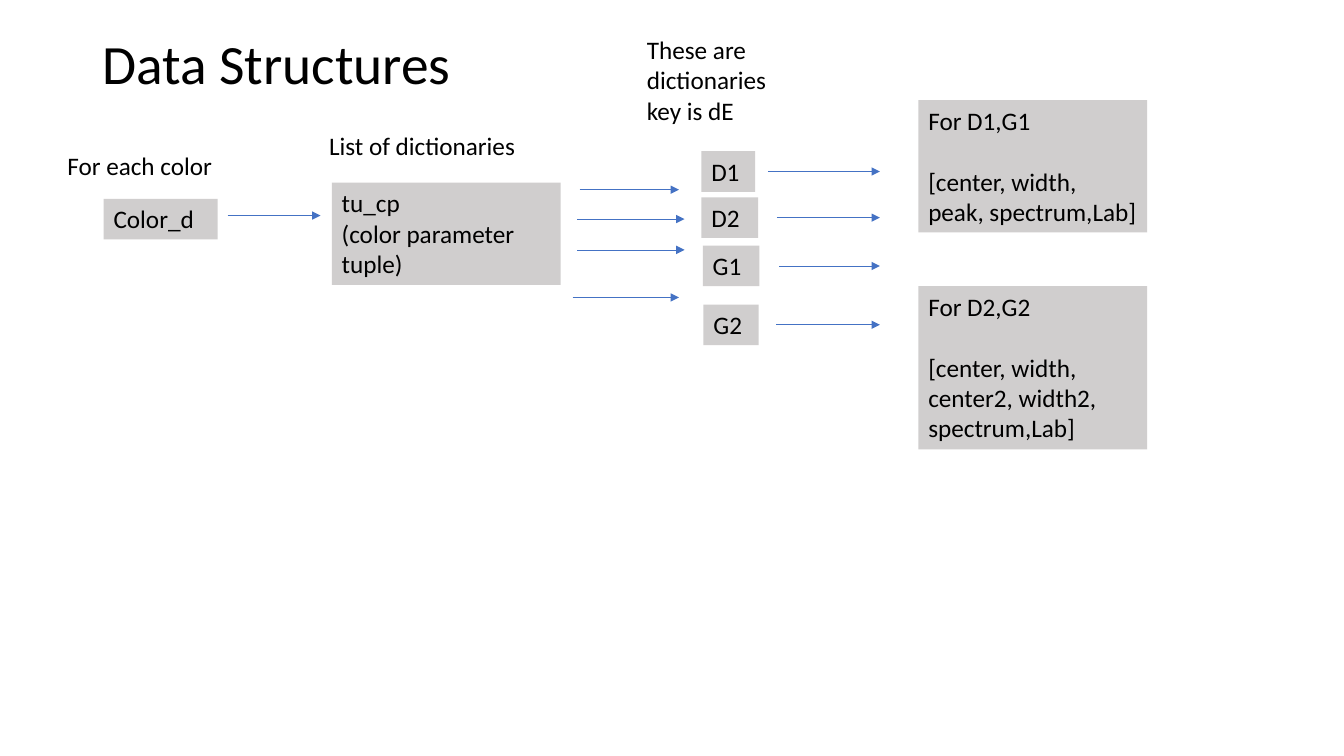
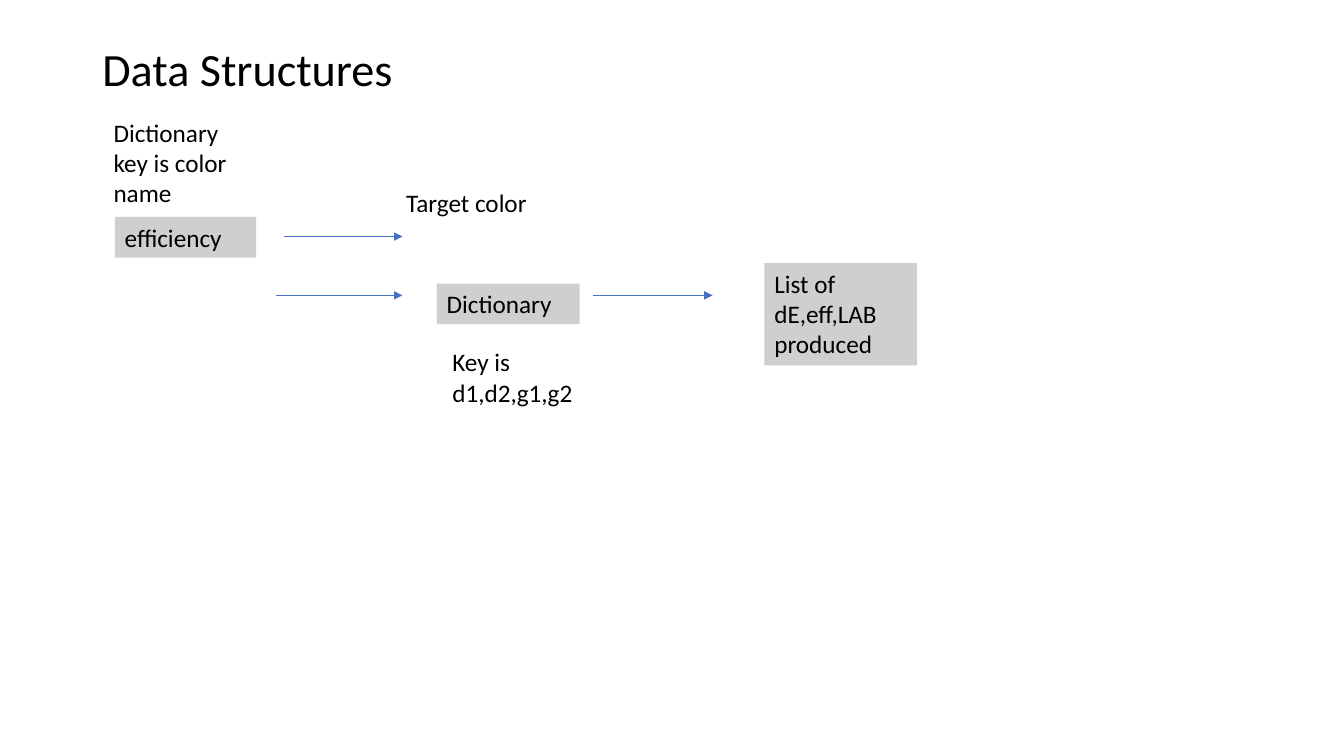
from lxml import etree
from pptx import Presentation
from pptx.dml.color import RGBColor
from pptx.enum.shapes import MSO_CONNECTOR, MSO_SHAPE
from pptx.enum.text import MSO_ANCHOR, PP_ALIGN
from pptx.oxml.ns import qn
from pptx.util import Pt

STRAIGHT = MSO_CONNECTOR.STRAIGHT
RECTANGLE = MSO_SHAPE.RECTANGLE
TOP, MIDDLE = MSO_ANCHOR.TOP, MSO_ANCHOR.MIDDLE
LEFT = PP_ALIGN.LEFT

BLACK, GREY, BLUE = "000000", "D0CECE", "4472C4"
FONT = "Calibri"
BODY_SIZE = 18
LINE_GAP = 22
ROW = 29
THREE_ROWS = 73


def color(value):
    return RGBColor.from_string(value)


def set_all(target, formats):
    for name, value in formats.items():
        setattr(target, name, value)


def write(box, lines, size=BODY_SIZE, anchor=TOP, **formats):
    set_all(box.text_frame, {"word_wrap": True, "vertical_anchor": anchor})
    for index, line in enumerate(lines):
        para = box.text_frame.paragraphs[0] if index == 0 else box.text_frame.add_paragraph()
        set_all(para, {"alignment": LEFT, **formats})
        span = para.add_run()
        span.text = line
        set_all(span.font, {"name": FONT, "size": Pt(size)})
        span.font.color.rgb = color(BLACK)
    return box


def label(page, left, top, width, height, *lines, **formats):
    box = page.shapes.add_textbox(Pt(left), Pt(top), Pt(width), Pt(height))
    return write(box, lines, **formats)


def node(page, left, top, width, height, *lines):
    box = page.shapes.add_shape(RECTANGLE, Pt(left), Pt(top), Pt(width), Pt(height))
    box.shadow.inherit = False
    box.fill.solid()
    box.fill.fore_color.rgb = color(GREY)
    box.line.fill.background()
    return write(box, lines)


def arrow(page, start, end, level):
    line = page.shapes.add_connector(STRAIGHT, Pt(start), Pt(level), Pt(end), Pt(level))
    line.line.color.rgb = color(BLUE)
    line.line.width = Pt(0.5)
    outline = line.line._get_or_add_ln()
    etree.SubElement(outline, qn("a:tailEnd"), type="triangle")
    etree.SubElement(line._element.spPr, qn("a:effectLst"))


def title(page, top, size, spacing):
    label(page, 66, top, 443, 37, "Data Structures",
          size=size, anchor=MIDDLE, line_spacing=spacing)


def color_source(page, left, top):
    label(page, left, top, 126.5, ROW, "For each color")
    node(page, left + 33, top + 38.5, 81.5, ROW, "Color_d")
    arrow(page, left + 121.7, left + 188, top + 50.5)


def parameter_list(page, left, top):
    label(page, left, top, 172, ROW, "List of dictionaries")
    node(page, left + 9, top + 41, 163.5, THREE_ROWS, "tu_cp", "(color parameter tuple)")
    for start, end, level in ((186, 257, 46), (184.5, 261, 67),
                              (184.5, 261, 89), (181, 257, 123)):
        arrow(page, left + start, left + end, top + level)


def key_column(page, left, top):
    label(page, left, top, 130, THREE_ROWS, "These are dictionaries", "key is dE")
    for name, shift, level, width, start in (
            ("D1", 46, 87, 38.5, 93.5), ("D2", 46, 120, 40.5, 100),
            ("G1", 47, 154.5, 40.5, 101.5), ("G2", 47.5, 196.5, 39.5, 99.5)):
        node(page, left + shift, top + level, width, ROW, name)
        arrow(page, left + start, left + 173.5, top + level + ROW / 2)


def value_list(page, left, top, height, heading, fields):
    box = node(page, left, top, 163.5, height, heading, fields)
    box.text_frame.paragraphs[1].space_before = Pt(LINE_GAP)


def efficiency_source(page, left, top):
    label(page, left, top, 101, THREE_ROWS, "Dictionary", "key is color name")
    node(page, left + 8, top + 75, 101, ROW, "efficiency")
    arrow(page, left + 129, left + 213.5, top + 89)
    arrow(page, left + 123.5, left + 213.5, top + 131)


def target_dictionary(page, left, top):
    label(page, left, top, 111, ROW, "Target color")
    node(page, left + 29, top + 72, 102, ROW, "Dictionary")
    label(page, left + 33, top + 113.5, 126.5, 51, "Key is d1,d2,g1,g2")
    arrow(page, left + 140.5, left + 226, top + 80.5)


def parameter_slide(page):
    title(page, 29, 39.6, 0.9)
    color_source(page, 41, 103.5)
    parameter_list(page, 228, 89.5)
    key_column(page, 455, 21)
    value_list(page, 656, 71.5, 94.5, "For D1,G1", "[center, width, peak, spectrum,Lab]")
    value_list(page, 656, 204.5, 116.5, "For D2,G2",
               "[center, width, center2, width2, spectrum,Lab]")


def efficiency_slide(page):
    title(page, 35, 33, 0.7)
    efficiency_source(page, 74, 80)
    target_dictionary(page, 283, 130.5)
    node(page, 546, 188, 109, THREE_ROWS, "List of dE,eff,LAB produced")


deck = Presentation()
set_all(deck, {"slide_width": Pt(960), "slide_height": Pt(540)})
for build in (parameter_slide, efficiency_slide):
    build(deck.slides.add_slide(deck.slide_layouts[6]))
deck.save("out.pptx")
